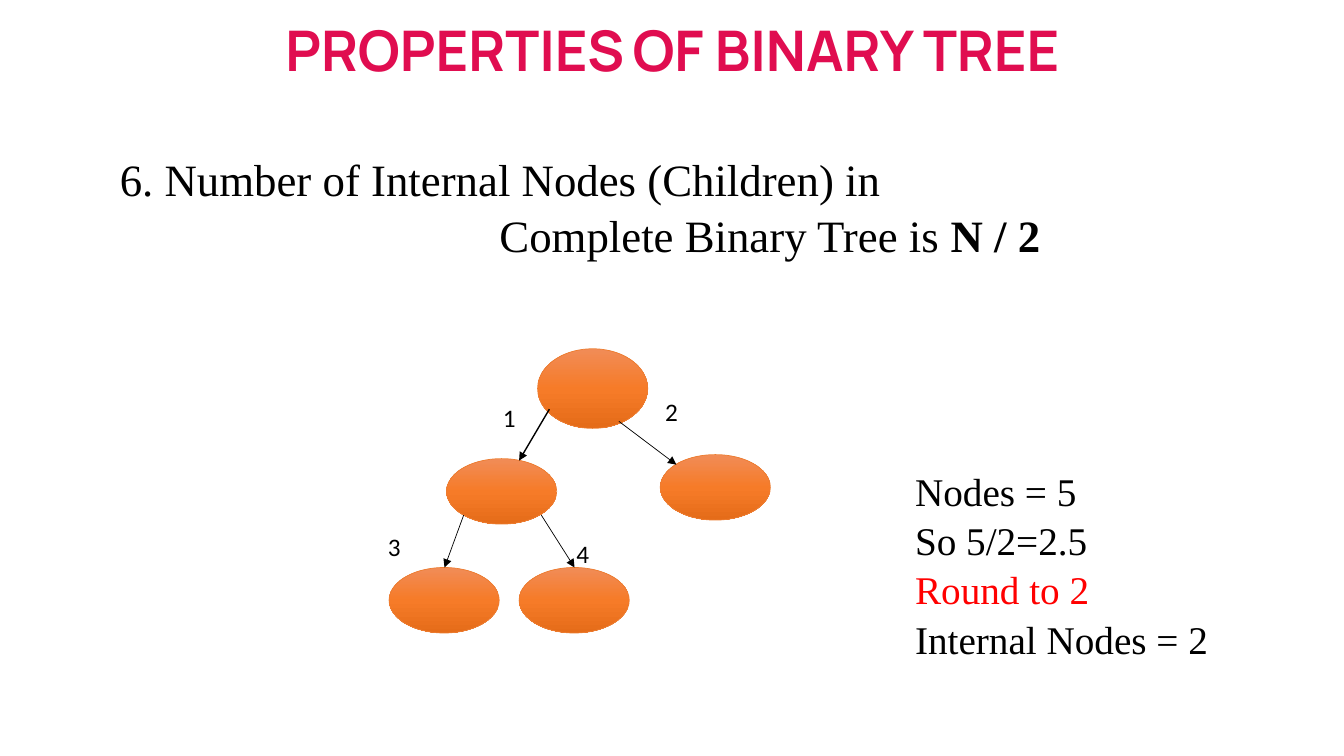
import copy
from lxml import etree
from pptx import Presentation
from pptx import util as u
from pptx.dml.color import RGBColor
from pptx.enum import dml, shapes, text
from pptx.oxml import ns

COLOURS = {
    "title": "E00D50", "ink": "000000", "accent": "FF0000", "rim": "ED7D31",
    "top": "F18C57", "middle": "F67B28", "bottom": "E56C19",
}
SERIF = {"name": "Times New Roman", "size": u.Pt(32), "bold": False}
BOLD = {**SERIF, "bold": True}
NOTE = {**SERIF, "size": u.Pt(28)}
LABEL = {"name": "Calibri", "size": u.Pt(18), "bold": False}
TITLE = {"name": "Manrope", "size": u.Pt(40), "bold": True}
GAP = {**BOLD, "size": u.Pt(24)}

deck = Presentation()
deck.slide_width, deck.slide_height = u.Inches(13.33), u.Inches(7.5)
page = deck.slides.add_slide(deck.slide_layouts[6])
column, row = deck.slide_width / 40, deck.slide_height / 30


def place(*cells):
    return [round(cell * unit) for cell, unit in zip(cells, (column, row) * 2)]


def write(cells, paragraphs, **layout):
    box = page.shapes.add_textbox(*place(*cells))
    box.text_frame.word_wrap = True
    for index, spans in enumerate(paragraphs):
        para = box.text_frame.paragraphs[0] if index == 0 else box.text_frame.add_paragraph()
        for key, value in layout.items():
            setattr(para, key, value)
        for words, style, colour in spans:
            span = para.add_run()
            span.text = words
            for key, value in style.items():
                setattr(span.font, key, value)
            span.font.color.rgb = RGBColor.from_string(COLOURS[colour])
    return box


statement = write((3.27, 5.72, 36.73, 7.4), [
    [("6. Number of Internal Nodes (Children) in", SERIF, "ink")],
    [("Complete Binary Tree is ", SERIF, "ink"), ("N / 2", BOLD, "ink")],
], line_spacing=1.05)
second_line = statement.text_frame.paragraphs[1]
second_line.font.size = SERIF["size"]
second_line._p.get_or_add_pPr().set("marL", str(round(11.3 * column)))

write((26.94, 18.24, 10.74, 7.96), [
    [("Nodes = 5", NOTE, "ink")],
    [("So 5/2=2.5", NOTE, "ink")],
    [("Round to 2", NOTE, "accent")],
    [("Internal Nodes = 2", NOTE, "ink")],
], line_spacing=1.05)

nodes = [(16, 13.84, 3.16), (19.65, 18.04, 2.6), (15.45, 22.52, 2.6),
         (11.58, 22.52, 2.6), (13.29, 18.2, 2.6)]
for left, top, height in nodes:
    node = page.shapes.add_shape(shapes.MSO_SHAPE.OVAL, *place(left, top, 3.28, height))
    node.shadow.inherit = False
    node.fill.gradient()
    node.fill.gradient_angle = 270
    first_stop = node.fill.gradient_stops[0]._gs
    first_stop.addnext(copy.deepcopy(first_stop))
    for stop, position, name in zip(node.fill.gradient_stops, (0, 0.5, 1), ("top", "middle", "bottom")):
        stop.position = position
        stop.color.rgb = RGBColor.from_string(COLOURS[name])
    node.line.color.rgb = RGBColor.from_string(COLOURS["rim"])
    node.line.width = u.Pt(0.5)

edges = [
    ("1", (16.35, 16.24, 15.45, 18.28), 1, (14.67, 15.76)),
    ("3", (13.8, 20.44, 13.23, 22.52), 0.5, (11.25, 20.88)),
    ("4", (16.11, 20.44, 17.1, 22.52), 0.5, (16.86, 21.16)),
    ("2", (18.42, 16.72, 20.13, 18.44), 0.5, (19.5, 15.52)),
]
for number, ends, width, corner in edges:
    arrow = page.shapes.add_connector(shapes.MSO_CONNECTOR.STRAIGHT, *place(*ends))
    arrow.line.color.rgb = RGBColor.from_string(COLOURS["ink"])
    arrow.line.width = u.Pt(width)
    arrow.line.dash_style = dml.MSO_LINE.SOLID
    etree.SubElement(arrow.line._ln, ns.qn("a:tailEnd"), type="triangle")
    etree.SubElement(arrow._element.spPr, ns.qn("a:effectLst"))
    write((*corner, 2.22, 1.6), [[(number, LABEL, "ink")]])

write((6.78, 0.44, 26.46, 3.08), [
    [("PROPERTIES", TITLE, "title"), (" ", GAP, "ink"), ("OF BINARY TREE", TITLE, "title")],
], alignment=text.PP_ALIGN.CENTER)

deck.save("out.pptx")
